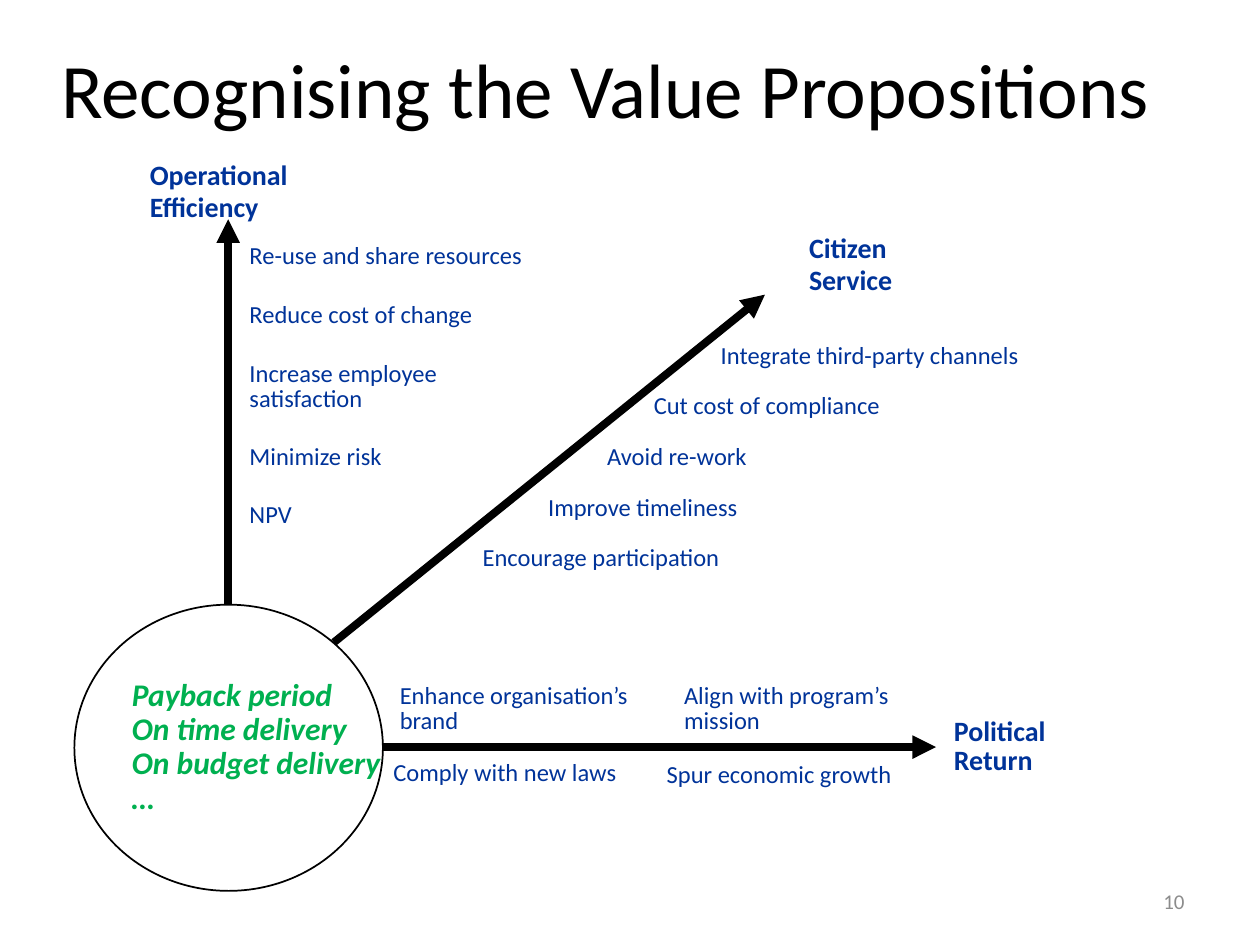
from pptx import Presentation
from pptx.dml.color import RGBColor
from pptx.enum.shapes import MSO_CONNECTOR, MSO_SHAPE
from pptx.enum.text import MSO_ANCHOR, MSO_AUTO_SIZE, PP_ALIGN
from pptx.oxml.ns import qn
from pptx.util import Cm, Pt
from lxml.etree import SubElement

BLACK = RGBColor(0x00, 0x00, 0x00)
WHITE = RGBColor(0xFF, 0xFF, 0xFF)
NAVY = RGBColor(0x00, 0x33, 0x99)
GREEN = RGBColor(0x00, 0xB0, 0x50)
GRAY = RGBColor(0x8C, 0x8C, 0x8C)
FONT = "Calibri"
LINE, PAIR = 0.74, 1.24


def style(frame, size, color, bold=False, italic=False):
    for para in frame.paragraphs:
        for run in para.runs:
            font = run.font
            font.name, font.size = FONT, Pt(size)
            font.bold, font.italic = bold, italic
            font.color.rgb = color


def label(slide, left, top, width, height, text, size=14, bold=False, wrap=True):
    box = slide.shapes.add_textbox(Cm(left), Cm(top), Cm(width), Cm(height))
    frame = box.text_frame
    frame.word_wrap = wrap
    frame.auto_size = MSO_AUTO_SIZE.SHAPE_TO_FIT_TEXT
    frame.margin_left = frame.margin_right = Cm(0.23)
    frame.margin_top = frame.margin_bottom = Cm(0.11)
    frame.text = text
    for para in frame.paragraphs:
        para.line_spacing = 0.85
        para.space_after = Pt(size * 0.1)
    style(frame, size, NAVY, bold)


def arrow(slide, x1, y1, x2, y2):
    line = slide.shapes.add_connector(
        MSO_CONNECTOR.STRAIGHT, Cm(x1), Cm(y1), Cm(x2), Cm(y2))
    line.line.color.rgb = BLACK
    line.line.width = Pt(4.5)
    SubElement(line.line._get_or_add_ln(), qn("a:tailEnd"), type="triangle")
    SubElement(line._element.spPr, qn("a:effectLst"))


def heading(slide, left, top, width, height):
    title = slide.shapes.title
    title.left, title.top = Cm(left), Cm(top)
    title.width, title.height = Cm(width), Cm(height)
    frame = title.text_frame
    frame.text = "Recognising the Value Propositions"
    frame.vertical_anchor = MSO_ANCHOR.MIDDLE
    frame.paragraphs[0].alignment = PP_ALIGN.CENTER
    style(frame, 44, BLACK)


def core(slide, left, top, width, height):
    oval = slide.shapes.add_shape(
        MSO_SHAPE.OVAL, Cm(left), Cm(top), Cm(width), Cm(height))
    oval.shadow.inherit = False
    oval.fill.solid()
    oval.fill.fore_color.rgb = WHITE
    oval.line.color.rgb = BLACK
    oval.line.width = Pt(1)
    frame = oval.text_frame
    frame.word_wrap = False
    frame.vertical_anchor = MSO_ANCHOR.MIDDLE
    frame.text = "Payback period\vOn time delivery\vOn budget delivery\v…"
    para = frame.paragraphs[0]
    para.alignment = PP_ALIGN.LEFT
    para.line_spacing = 0.9
    para.space_before, para.space_after = Pt(5.4), Pt(1.8)
    style(frame, 18, GREEN, True, True)


def upward(slide, left, top, width, height):
    label(slide, left, top, 3.61, 1.45, "Operational\nEfficiency", 16, True, False)
    arrow(slide, left + 1.81, top + height, left + 1.81, top + 1.24)
    items = [("Re-use and share resources", LINE), ("Reduce cost of change", LINE),
             ("Increase employee satisfaction", PAIR), ("Minimize risk", LINE),
             ("NPV", LINE)]
    y = top + 1.65
    for text, tall in items:
        label(slide, left + 2.01, y, width - 2.01, tall, text)
        y += tall + 0.44


def diagonal(slide, left, top, width, height):
    label(slide, left + 9.35, top, 2.46, 1.45, "Citizen\nService", 16, True, False)
    arrow(slide, left, top + height, left + 8.69, top + 1.29)
    items = [("Integrate third-party channels", 7.57), ("Cut cost of compliance", 6.22),
             ("Avoid re-work", 5.28), ("Improve timeliness", 4.09),
             ("Encourage participation", 2.77)]
    for row, (text, x) in enumerate(items):
        label(slide, left + x, top + 2.18 + row * 1.02, width - 7.57, LINE, text)


def across(slide, left, top, width, height):
    label(slide, left + width - 3.86, top + 0.69, 3.86, 1.37,
          "Political Return", 16, True)
    axis = top + height / 2
    arrow(slide, left + 0.02, axis, left + 11.17, axis)
    items = [("Enhance organisation’s brand", 0.13, 0, PAIR),
             ("Align with program’s mission", 5.86, 0, PAIR),
             ("Comply with new laws", 0, 1.55, LINE),
             ("Spur economic growth", 5.51, 1.6, LINE)]
    for text, x, y, tall in items:
        label(slide, left + x, top + y, 5.84, tall, text)


def footer(slide, left, top, width, height):
    box = slide.shapes.add_textbox(Cm(left), Cm(top), Cm(width), Cm(height))
    frame = box.text_frame
    frame.word_wrap = True
    frame.vertical_anchor = MSO_ANCHOR.MIDDLE
    frame.text = "10"
    frame.paragraphs[0].alignment = PP_ALIGN.RIGHT
    style(frame, 12, GRAY)


def main():
    deck = Presentation()
    deck.slide_width, deck.slide_height = Cm(25.4), Cm(19.05)
    slide = deck.slides.add_slide(deck.slide_layouts[5])
    heading(slide, 0.76, 0.53, 22.91, 2.46)
    core(slide, 1.5, 12.19, 6.22, 5.77)
    upward(slide, 2.79, 3.18, 8.54, 9.02)
    diagonal(slide, 6.73, 4.65, 14.96, 8.3)
    across(slide, 7.7, 13.69, 15.16, 2.74)
    footer(slide, 18.21, 17.65, 5.92, 1.02)
    deck.save("out.pptx")


if __name__ == "__main__":
    main()
